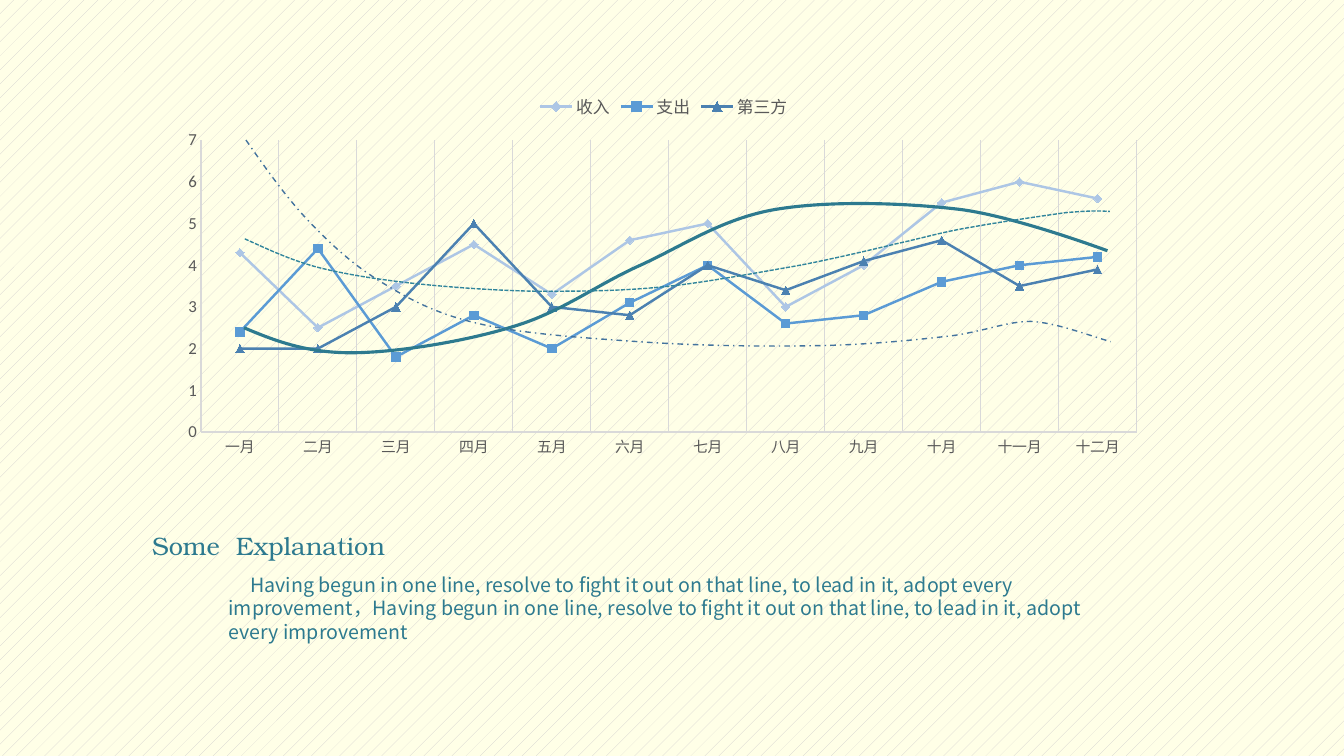
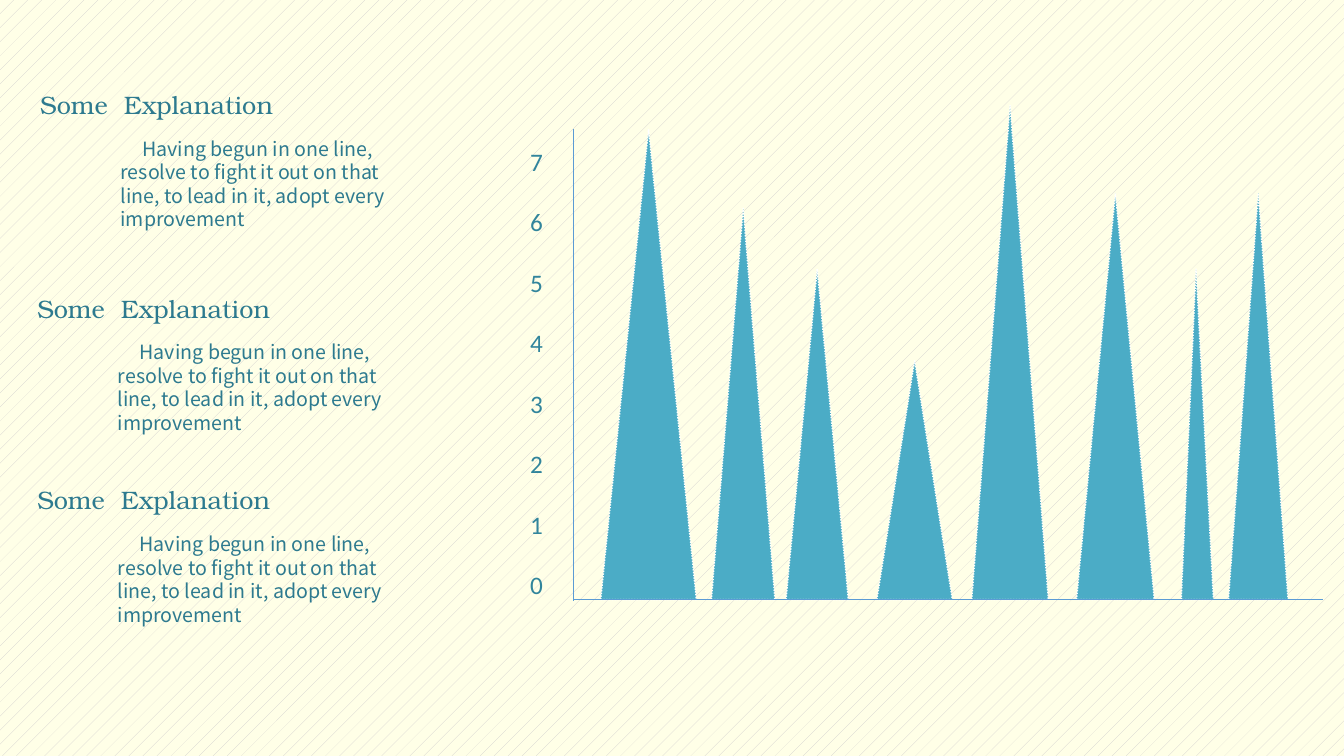
from lxml import etree
from pptx import Presentation, util as u
from pptx.chart.data import CategoryChartData
from pptx.dml.color import RGBColor
from pptx.enum import chart as ch, dml, shapes, text
from pptx.oxml import parse_xml
from pptx.oxml.ns import nsdecls, qn

Cm, Pt = u.Cm, u.Pt
SERIF, SANS, LATIN = "TeX Gyre Bonum", "Noto Sans CJK SC", "Calibri"
TEAL, SCALE_TEAL, GREY, GRID = "2D7A8F", "31859C", "595959", "D9D9D9"
PAPER, SPECKLE, PEAK, AXIS = "FFFFE7", "D0CECE", "4BACC6", "5B9BD5"

HEADING = "Some  Explanation"
SENTENCE = ("Having begun in one line, resolve to fight it out on that line, "
            "to lead in it, adopt every improvement")

TREND_NOTES = [
    {"at": (3.58, 13.23), "offset": (1.93, 1.07), "size": (23.06, 2.74),
     "body": SENTENCE + "，" + SENTENCE},
]
PEAK_NOTES = [
    {"at": at, "offset": (2.03, 1.19), "size": (7.8, 2.64), "body": SENTENCE}
    for at in [(0.76, 2.13), (0.69, 7.26), (0.69, 12.09)]
]

MONTHS = ["一月", "二月", "三月", "四月", "五月", "六月",
          "七月", "八月", "九月", "十月", "十一月", "十二月"]
FLOWS = [
    ("收入", "ADC6E5", ch.XL_MARKER_STYLE.DIAMOND,
     [4.3, 2.5, 3.5, 4.5, 3.3, 4.6, 5, 3, 4, 5.5, 6, 5.6]),
    ("支出", "5B9BD5", ch.XL_MARKER_STYLE.SQUARE,
     [2.4, 4.4, 1.8, 2.8, 2, 3.1, 4, 2.6, 2.8, 3.6, 4, 4.2]),
    ("第三方", "4B81B1", ch.XL_MARKER_STYLE.TRIANGLE,
     [2, 2, 3, 5, 3, 2.8, 4, 3.4, 4.1, 4.6, 3.5, 3.9]),
]
PLOT_LAYOUT = {"layoutTarget": "inner", "xMode": "edge", "yMode": "edge",
               "x": 0.03, "y": 0.15, "w": 0.95, "h": 0.76}

TRENDS = [
    (TEAL, 2.25, None, [
        (6.15, 8.26), (6.93, 8.59), (7.72, 8.89), (8.84, 8.89),
        (9.96, 8.89), (11.71, 8.61), (12.93, 8.23),
        (14.15, 7.87), (15.06, 7.16), (16.15, 6.68),
        (17.25, 6.17), (18.21, 5.51), (19.53, 5.28),
        (20.88, 5.05), (22.81, 5.11), (24.21, 5.28),
        (25.6, 5.46), (27.91, 6.32), (27.91, 6.32)]),
    (SCALE_TEAL, 1, dml.MSO_LINE.SQUARE_DOT, [
        (6.17, 6.02), (6.73, 6.27), (7.26, 6.53), (7.98, 6.73),
        (8.69, 6.91), (9.5, 7.04), (10.41, 7.14),
        (11.33, 7.24), (12.47, 7.32), (13.51, 7.34),
        (14.55, 7.34), (15.52, 7.34), (16.59, 7.24),
        (17.68, 7.14), (19.02, 6.88), (20.02, 6.71),
        (21.01, 6.53), (22.56, 6.15), (22.56, 6.15),
        (23.29, 5.99), (23.77, 5.84), (24.51, 5.72),
        (25.22, 5.59), (26.29, 5.44), (26.85, 5.36),
        (27.43, 5.31), (27.69, 5.31), (27.97, 5.33)]),
    ("43739E", 1, dml.MSO_LINE.DASH_DOT, [
        (6.2, 3.53), (6.68, 4.22), (7.16, 4.9), (7.72, 5.51),
        (8.28, 6.1), (8.86, 6.65), (9.58, 7.09),
        (10.31, 7.54), (10.97, 7.9), (12.04, 8.15),
        (13.13, 8.41), (14.66, 8.51), (16.08, 8.61),
        (17.5, 8.71), (19.28, 8.74), (20.6, 8.71),
        (21.92, 8.69), (23.11, 8.56), (24, 8.46),
        (24.89, 8.33), (25.37, 8.1), (25.98, 8.1),
        (26.62, 8.13), (27.46, 8.46), (27.99, 8.61)]),
]

PEAK_BASE = 15.11
PEAKS = [
    (15.14, 2.41, 11.84, 0.5), (17.93, 1.6, 9.86, 0.5),
    (19.81, 1.57, 8.33, 0.5), (22.1, 1.9, 6.02, 0.5),
    (24.49, 1.93, 12.45, 0.5), (27.13, 1.96, 10.24, 0.5),
    (29.77, 0.81, 8.33, 0.46), (30.96, 1.5, 10.24, 0.5),
]
AXES = [(14.45, 3.25, 14.45, 15.14), (14.45, 15.1, 33.35, 15.1)]
SCALE_STEP = 21.6


def rgb(value):
    return RGBColor.from_string(value)


def assign(target, values):
    for name, value in values.items():
        setattr(target, name, value)


def paint_line(line, color, width, dash=None):
    line.color.rgb = rgb(color)
    assign(line, {"width": Pt(width), "dash_style": dash})


def style_font(font, name, size, color):
    assign(font, {"name": name, "size": Pt(size), "bold": False})
    font.color.rgb = rgb(color)


def write(paragraph, words, name, size, color, **layout):
    run = paragraph.add_run()
    run.text = words
    style_font(run.font, name, size, color)
    etree.SubElement(run._r.get_or_add_rPr(), qn("a:ea"), typeface=name)
    assign(paragraph, {"alignment": text.PP_ALIGN.LEFT, **layout})


def prepare(box, left, top, width, height):
    assign(box, {"left": Cm(left), "top": Cm(top),
                 "width": Cm(width), "height": Cm(height)})
    assign(box.text_frame, {"word_wrap": True,
                            "auto_size": text.MSO_AUTO_SIZE.NONE,
                            "vertical_anchor": text.MSO_ANCHOR.TOP})
    return box.text_frame.paragraphs[0]


def text_box(slide):
    return slide.shapes.add_textbox(0, 0, 0, 0)


def add_notes(slide, notes):
    for index, note in enumerate(notes):
        left, top = note["at"]
        across, down = note["offset"]
        heading = text_box(slide) if index else slide.shapes.title
        write(prepare(heading, left, top, 8.2, 1.02),
              HEADING, SERIF, 18, TEAL)
        body = prepare(text_box(slide), left + across, top + down, *note["size"])
        body._p.get_or_add_pPr().set("indent", str(Cm(0.55)))
        write(body, note["body"], SANS, 14, TEAL, line_spacing=Pt(16.8))


def add_flow_chart(slide):
    data = CategoryChartData()
    data.categories = MONTHS
    for name, _, _, values in FLOWS:
        data.add_series(name, values)
    chart = slide.shapes.add_chart(
        ch.XL_CHART_TYPE.LINE_MARKERS, Cm(4.32), Cm(2.08),
        Cm(24.82), Cm(9.68), data).chart
    style_font(chart.font, LATIN, 10, "000000")
    assign(chart, {"has_title": False, "has_legend": True})
    assign(chart.legend, {"position": ch.XL_LEGEND_POSITION.TOP,
                          "include_in_layout": False})
    style_font(chart.legend.font, LATIN, 12, GREY)
    for axis, size, grid in [(chart.category_axis, 10.6, True),
                             (chart.value_axis, 12, False)]:
        assign(axis, {"major_tick_mark": ch.XL_TICK_MARK.NONE,
                      "minor_tick_mark": ch.XL_TICK_MARK.NONE,
                      "has_major_gridlines": grid})
        style_font(axis.tick_labels.font, LATIN, size, GREY)
        paint_line(axis.format.line, GRID, 0.75)
    paint_line(chart.category_axis.major_gridlines.format.line, GRID, 0.75)
    assign(chart.value_axis,
           {"minimum_scale": 0, "maximum_scale": 7, "major_unit": 1})
    plot = chart.plots[0]
    plot.vary_by_categories = False
    for series, (_, color, mark, _) in zip(plot.series, FLOWS):
        series.smooth = False
        paint_line(series.format.line, color, 1.75)
        assign(series.marker, {"style": mark, "size": 6})
        series.marker.format.fill.solid()
        series.marker.format.fill.fore_color.rgb = rgb(color)
        paint_line(series.marker.format.line, color, 0.75)
    plot_area = chart._chartSpace.chart.plotArea
    for old in plot_area.findall(qn("c:layout")):
        plot_area.remove(old)
    entries = "".join(f'<c:{key} val="{value}"/>'
                      for key, value in PLOT_LAYOUT.items())
    plot_area.insert(0, parse_xml(
        f'<c:layout {nsdecls("c")}><c:manualLayout>{entries}'
        '</c:manualLayout></c:layout>'))


def add_trend(slide, color, width, dash, points):
    start, *rest = [(Cm(x), Cm(y)) for x, y in points]
    builder = slide.shapes.build_freeform(*start)
    builder.add_line_segments(rest, close=False)
    trend = builder.convert_to_shape()
    trend.shadow.inherit = False
    trend.fill.background()
    paint_line(trend.line, color, width, dash)
    steps = list(trend._element.iter(qn("a:lnTo")))
    outline = steps[0].getparent()
    for first in range(0, len(steps), 3):
        bezier = etree.SubElement(outline, qn("a:cubicBezTo"))
        for step in steps[first:first + 3]:
            bezier.append(step[0])
            outline.remove(step)


def add_peak(slide, left, width, height, tip):
    peak = slide.shapes.add_shape(
        shapes.MSO_SHAPE.ISOSCELES_TRIANGLE, Cm(left),
        Cm(PEAK_BASE - height), Cm(width), Cm(height))
    peak.adjustments[0] = tip
    peak.shadow.inherit = False
    peak.fill.solid()
    peak.fill.fore_color.rgb = rgb(PEAK)
    paint_line(peak.line, "FFFFFF", 1, dml.MSO_LINE.ROUND_DOT)


def add_axis(slide, *ends):
    axis = slide.shapes.add_connector(
        shapes.MSO_CONNECTOR.STRAIGHT, *map(Cm, ends))
    paint_line(axis.line, AXIS, 0.5)
    etree.SubElement(axis._element.spPr, qn("a:effectLst"))


def add_scale(slide):
    paragraph = prepare(text_box(slide), 13.11, 3.56, 1.09, 11.81)
    frame = paragraph._parent
    for value in range(7, -1, -1):
        gap = {}
        if value < 7:
            paragraph = frame.add_paragraph()
            gap = {"space_before": Pt(SCALE_STEP)}
        write(paragraph, str(value), LATIN, 18, SCALE_TEAL,
              line_spacing=Pt(SCALE_STEP), **gap)


def main():
    deck = Presentation()
    assign(deck, {"slide_width": Cm(33.87), "slide_height": Cm(19.05)})
    layout = deck.slide_layouts[5]
    paper = layout.background.fill
    paper.patterned()
    paper.pattern = dml.MSO_PATTERN.PERCENT_5
    paper.fore_color.rgb = rgb(SPECKLE)
    paper.back_color.rgb = rgb(PAPER)

    trend_slide = deck.slides.add_slide(layout)
    add_notes(trend_slide, TREND_NOTES)
    add_flow_chart(trend_slide)
    for trend in TRENDS:
        add_trend(trend_slide, *trend)

    peak_slide = deck.slides.add_slide(layout)
    for peak in PEAKS:
        add_peak(peak_slide, *peak)
    for axis in AXES:
        add_axis(peak_slide, *axis)
    add_scale(peak_slide)
    add_notes(peak_slide, PEAK_NOTES)
    deck.save("out.pptx")


if __name__ == "__main__":
    main()
